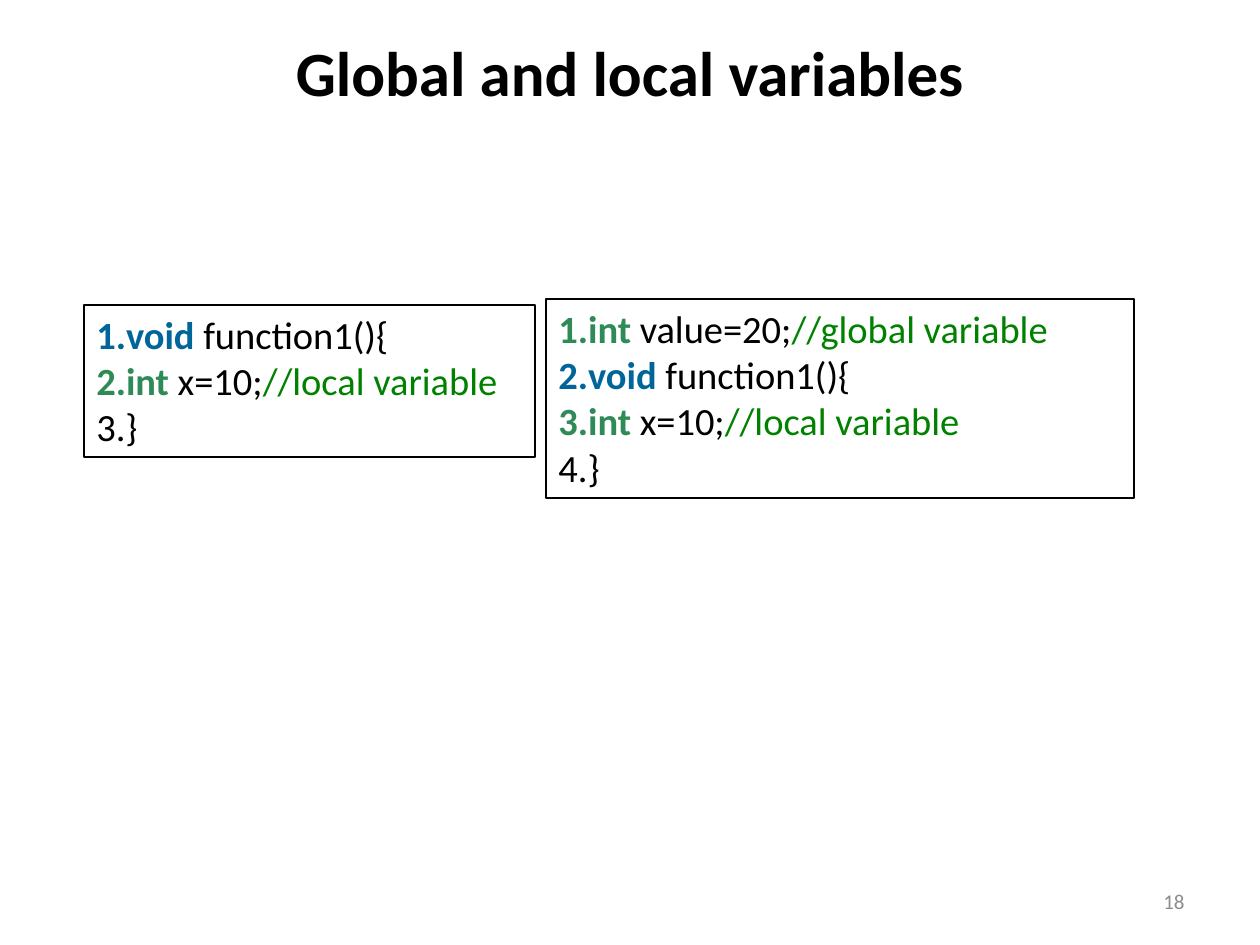
import dataclasses

import lxml.etree
import pptx
import pptx.dml.color
import pptx.enum.shapes
import pptx.enum.text
import pptx.oxml.ns
import pptx.slide
import pptx.text.text
import pptx.util

PIXELS_PER_INCH = 126
FONT = "Calibri"
BLACK = "000000"
GREY = "8C8C8C"
KEYWORD_BLUE = "006699"
TYPE_GREEN = "2E8B57"
COMMENT_GREEN = "008200"


@dataclasses.dataclass(frozen=True)
class Area:
    left: int
    top: int
    width: int
    height: int


@dataclasses.dataclass(frozen=True)
class Span:
    text: str
    color: str = BLACK
    bold: bool = False


@dataclasses.dataclass(frozen=True)
class Listing:
    area: Area
    lines: list[list[Span]]


@dataclasses.dataclass(frozen=True)
class Label:
    area: Area
    text: str
    size: int
    color: str
    bold: bool
    align: pptx.enum.text.PP_ALIGN


VOID = Span("void", KEYWORD_BLUE, True)
INT = Span("int", TYPE_GREEN, True)
FUNCTION_LINE = [VOID, Span(" function1(){")]
LOCAL_LINE = [INT, Span(" x=10;"), Span("//local variable", COMMENT_GREEN)]
GLOBAL_LINE = [INT, Span(" value=20;"), Span("//global variable", COMMENT_GREEN)]
CLOSING_LINE = [Span("}")]

LISTINGS = [
    Listing(Area(84, 305, 451, 152), [FUNCTION_LINE, LOCAL_LINE, CLOSING_LINE]),
    Listing(
        Area(546, 299, 588, 199),
        [GLOBAL_LINE, FUNCTION_LINE, LOCAL_LINE, CLOSING_LINE],
    ),
]

LABELS = [
    Label(
        Area(63, 38, 1134, 67), "Global and local variables", 36, BLACK, True,
        pptx.enum.text.PP_ALIGN.CENTER,
    ),
    Label(
        Area(903, 876, 294, 50), "18", 12, GREY, False,
        pptx.enum.text.PP_ALIGN.RIGHT,
    ),
]


def px(length: int) -> pptx.util.Emu:
    return pptx.util.Emu(round(length * 914400 / PIXELS_PER_INCH))


def rgb(color: str) -> pptx.dml.color.RGBColor:
    return pptx.dml.color.RGBColor.from_string(color)


def place(area: Area) -> list[pptx.util.Emu]:
    return [px(length) for length in dataclasses.astuple(area)]


def number_line(para: pptx.text.text._Paragraph) -> None:
    properties = para._p.get_or_add_pPr()
    properties.set("marL", "0")
    properties.set("indent", "0")
    lxml.etree.SubElement(
        properties, pptx.oxml.ns.qn("a:buAutoNum"), type="arabicPeriod"
    )


def add_listing(page: pptx.slide.Slide, listing: Listing) -> None:
    box = page.shapes.add_shape(
        pptx.enum.shapes.MSO_SHAPE.RECTANGLE, *place(listing.area)
    )
    box.shadow.inherit = False
    box.fill.background()
    box.line.color.rgb = rgb(BLACK)
    box.line.width = pptx.util.Pt(0.75)
    frame = box.text_frame
    frame.word_wrap = True
    frame.auto_size = pptx.enum.text.MSO_AUTO_SIZE.SHAPE_TO_FIT_TEXT
    frame.vertical_anchor = pptx.enum.text.MSO_ANCHOR.TOP
    for index, line in enumerate(listing.lines):
        para = frame.add_paragraph() if index else frame.paragraphs[0]
        para.alignment = pptx.enum.text.PP_ALIGN.JUSTIFY
        number_line(para)
        para.font.name = FONT
        para.font.size = pptx.util.Pt(22)
        for span in line:
            run = para.add_run()
            run.text = span.text
            run.font.bold = span.bold
            run.font.color.rgb = rgb(span.color)


def add_label(page: pptx.slide.Slide, label: Label) -> None:
    box = page.shapes.add_textbox(*place(label.area))
    frame = box.text_frame
    frame.word_wrap = True
    frame.vertical_anchor = pptx.enum.text.MSO_ANCHOR.MIDDLE
    para = frame.paragraphs[0]
    para.text = label.text
    para.alignment = label.align
    para.font.name = FONT
    para.font.size = pptx.util.Pt(label.size)
    para.font.bold = label.bold
    para.font.color.rgb = rgb(label.color)


def main() -> None:
    deck = pptx.Presentation()
    deck.slide_width = px(1260)
    deck.slide_height = px(945)
    page = deck.slides.add_slide(deck.slide_layouts[6])
    for listing in LISTINGS:
        add_listing(page, listing)
    for label in LABELS:
        add_label(page, label)
    deck.save("out.pptx")


if __name__ == "__main__":
    main()
